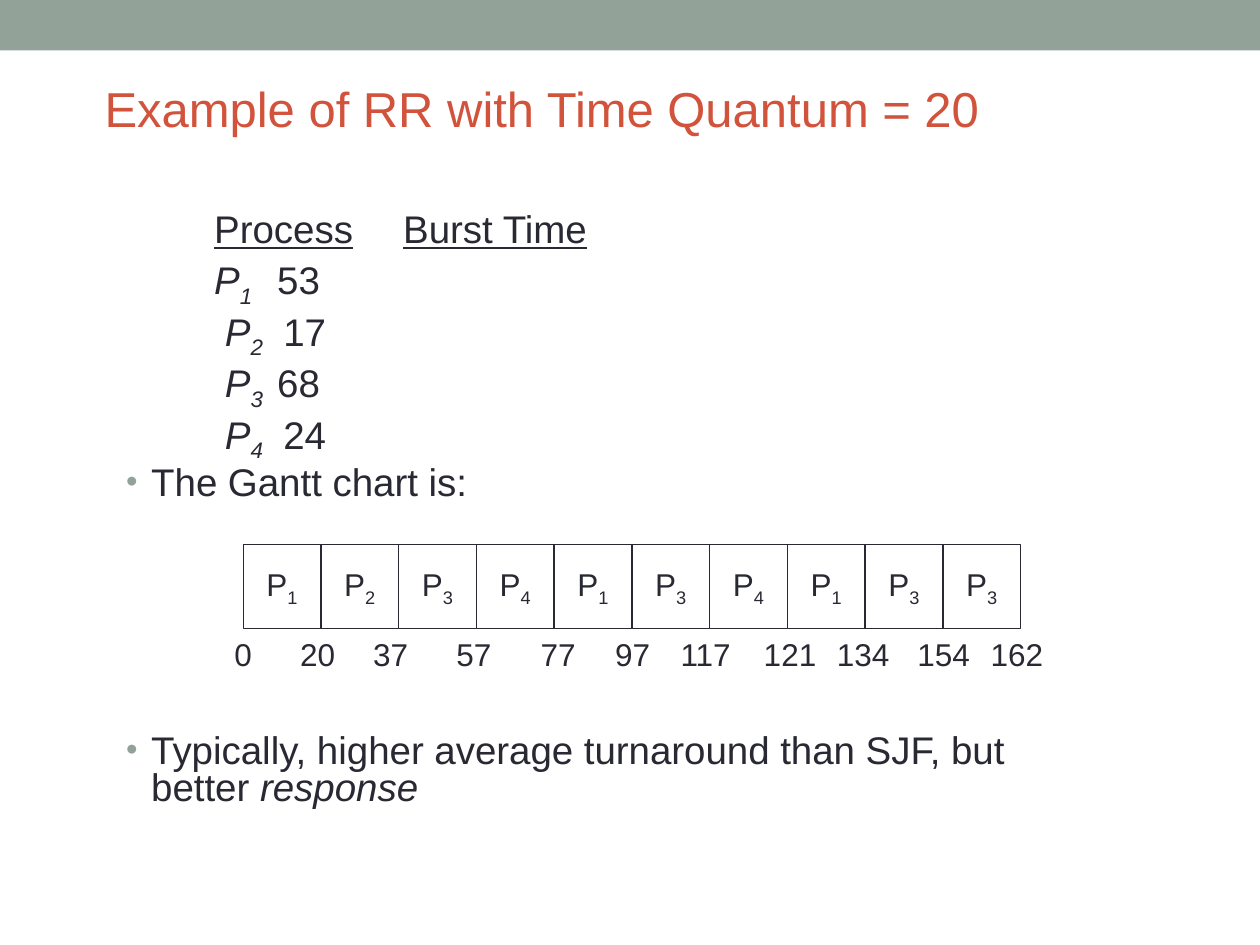
from lxml import etree
from pptx import Presentation
from pptx import util as u
from pptx.dml.color import RGBColor
from pptx.enum import shapes, text
from pptx.oxml.ns import qn

WIDTH, HEIGHT = 10, 7.5
INK, ACCENT, SAGE, WHITE = "292934", "D2533C", "93A299", "FFFFFF"

TITLE = "Example of RR with Time Quantum = 20"
HEADINGS = ("Process", "Burst Time")
PROCESSES = [("1", "", "", "53"), ("2", " ", " ", "17"),
             ("3", " ", "", "68"), ("4", " ", " ", "24")]
BULLETS = [
    ([("The Gantt chart is:", {})], 5.5),
    ([("Typically, higher average turnaround than SJF, but better ", {}),
      ("response", {"italic": True})], 132),
]
SCHEDULE = "1234134133"
TICKS = [("0", 1.93), ("20", 2.52), ("37", 3.1), ("57", 3.76), ("77", 4.43),
         ("97", 5.02), ("117", 5.6), ("121", 6.27), ("134", 6.85),
         ("154", 7.49), ("162", 8.07)]
GANTT = {"left": 1.93, "top": 4.32, "width": 6.17, "height": 0.67}
TICK_HEIGHT = 0.4

CENTRED = {"alignment": text.PP_ALIGN.CENTER}
TIGHT = {"line_spacing": 0.8, "space_before": u.Pt(5.5),
         "alignment": text.PP_ALIGN.LEFT}
UNWRAPPED = {"word_wrap": False, "vertical_anchor": text.MSO_ANCHOR.MIDDLE}


def color(value):
    return RGBColor.from_string(value)


def apply(target, formats):
    for name, value in formats.items():
        setattr(target, name, value)


def place(box, left, top, width, height):
    apply(box, {"left": u.Inches(left), "top": u.Inches(top),
                "width": u.Inches(width), "height": u.Inches(height)})


def write(para, spans, size, ink=INK):
    for words, style in spans:
        span = para.add_run()
        span.text = words
        apply(span.font, {"name": "Arial", "size": u.Pt(size)})
        span.font.color.rgb = color(ink)
        apply(span.font, {k: v for k, v in style.items() if k != "baseline"})
        if "baseline" in style:
            span._r.get_or_add_rPr().set("baseline", str(style["baseline"]))


def set_bullet(para, bulleted):
    props = para._p.get_or_add_pPr()
    indent = u.Inches(0.2)
    props.set("marL", str(indent))
    props.set("indent", str(-indent))
    if not bulleted:
        etree.SubElement(props, qn("a:buNone"))
        return
    paint = etree.SubElement(props, qn("a:buClr"))
    etree.SubElement(paint, qn("a:srgbClr"), val=SAGE)
    etree.SubElement(props, qn("a:buSzPct"), val="85000")
    etree.SubElement(props, qn("a:buFont"), typeface="Arial")
    etree.SubElement(props, qn("a:buChar"), char="•")


def add_rectangle(page, fill, left, top, width, height):
    box = page.shapes.add_shape(shapes.MSO_SHAPE.RECTANGLE, 0, 0, 0, 0)
    place(box, left, top, width, height)
    box.shadow.inherit = False
    box.fill.solid()
    box.fill.fore_color.rgb = color(fill)
    return box


def process_row(number, lead, gap, burst):
    italic = {"italic": True}
    return [("\t\t" + lead, {}), ("P", italic),
            (number + "\t" + gap, {"italic": True, "baseline": -25000}),
            (burst, {})]


def fill_title(page):
    box = page.shapes.title
    place(box, 0.73, 0.4, 8.81, 0.92)
    frame = box.text_frame
    apply(frame, {"vertical_anchor": text.MSO_ANCHOR.MIDDLE,
                  "auto_size": text.MSO_AUTO_SIZE.NONE})
    frame.paragraphs[0].alignment = text.PP_ALIGN.LEFT
    write(frame.paragraphs[0], [(TITLE, {})], 28, ACCENT)


def fill_body(page):
    box = page.placeholders[1]
    place(box, 0.9, 1.65, 8.04, 4.9)
    frame = box.text_frame
    apply(frame, {"vertical_anchor": text.MSO_ANCHOR.TOP,
                  "auto_size": text.MSO_AUTO_SIZE.NONE})
    underlined = {"underline": True}
    header = [("\t\t", {}), (HEADINGS[0], underlined), ("\t", {}),
              (HEADINGS[1], underlined)]
    rows = [header] + [process_row(*process) for process in PROCESSES]
    lines = [(row, 5.5, False) for row in rows]
    lines += [(spans, gap, True) for spans, gap in BULLETS]
    for index, (spans, gap, bulleted) in enumerate(lines):
        para = frame.add_paragraph() if index else frame.paragraphs[0]
        apply(para, TIGHT)
        para.space_before = u.Pt(gap)
        set_bullet(para, bulleted)
        write(para, spans, 22)


def draw_gantt(page):
    step = GANTT["width"] / len(SCHEDULE)
    for column, number in enumerate(SCHEDULE):
        box = add_rectangle(page, WHITE, GANTT["left"] + column * step,
                            GANTT["top"], step, GANTT["height"])
        box.line.color.rgb = color(INK)
        box.line.width = u.Pt(0.75)
        apply(box.text_frame, UNWRAPPED)
        para = box.text_frame.paragraphs[0]
        apply(para, CENTRED)
        write(para, [("P", {}), (number, {"baseline": -25000})], 18)


def draw_ticks(page):
    top = GANTT["top"] + GANTT["height"]
    for label, center in TICKS:
        width = 0.2 + 0.14 * len(label)
        box = page.shapes.add_textbox(0, 0, 0, 0)
        place(box, center - width / 2, top, width, TICK_HEIGHT)
        apply(box.text_frame, UNWRAPPED)
        para = box.text_frame.paragraphs[0]
        apply(para, CENTRED)
        write(para, [(label, {})], 18)


def main():
    deck = Presentation()
    apply(deck, {"slide_width": u.Inches(WIDTH),
                 "slide_height": u.Inches(HEIGHT)})
    page = deck.slides.add_slide(deck.slide_layouts[1])
    banner = add_rectangle(page, SAGE, 0, 0, WIDTH, 0.4)
    banner.line.fill.background()
    fill_title(page)
    fill_body(page)
    draw_gantt(page)
    draw_ticks(page)
    deck.save("out.pptx")


if __name__ == "__main__":
    main()
